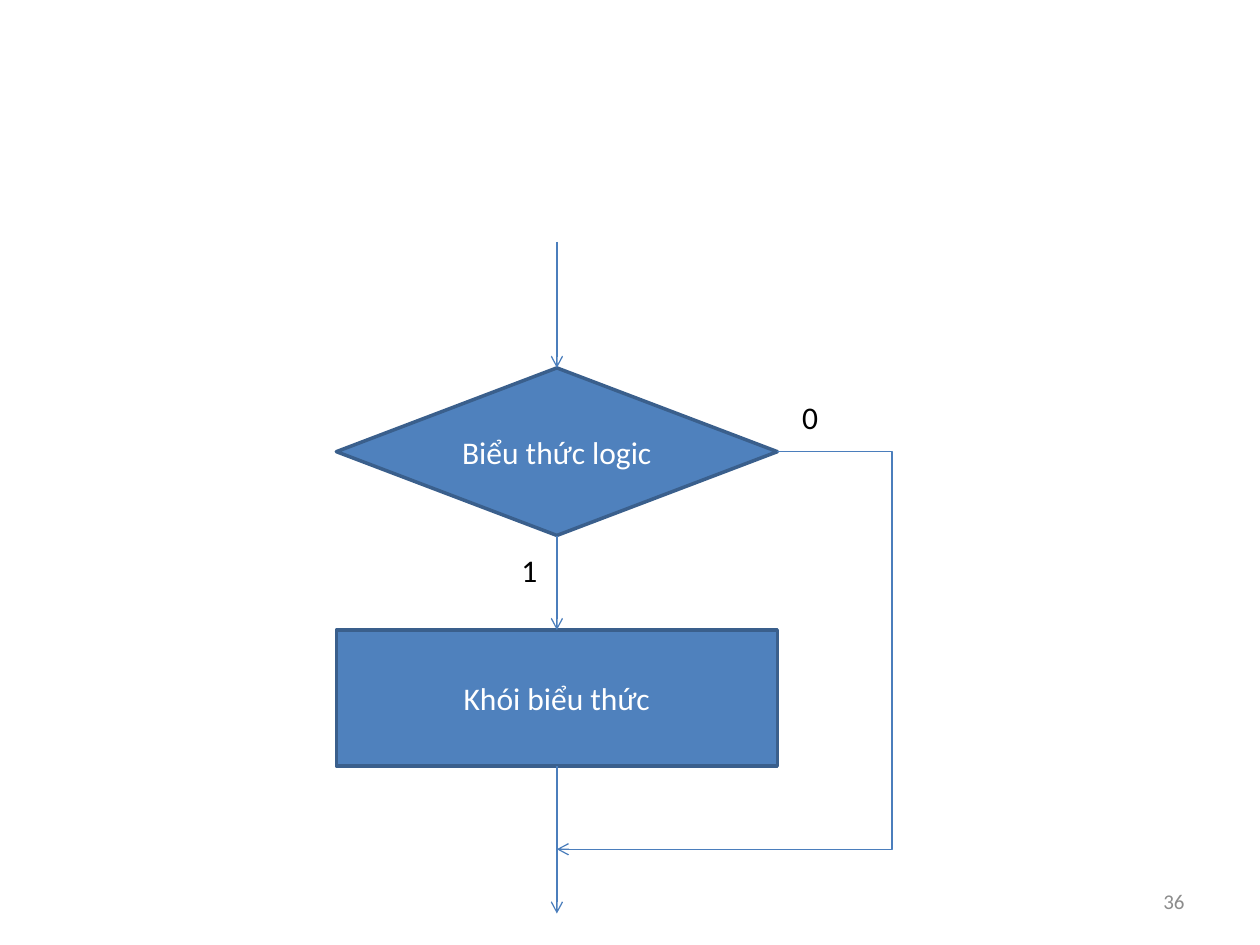
from lxml.etree import SubElement
from pptx import Presentation
from pptx.dml.color import RGBColor
from pptx.enum.shapes import MSO_CONNECTOR as Connector, MSO_SHAPE as Shape
from pptx.enum.text import MSO_ANCHOR as Anchor, PP_ALIGN as Align
from pptx.oxml.ns import qn
from pptx.util import Inches, Pt

THEME = {
    "font": "Calibri",
    "body_size": 18, "number_size": 12,
    "fill": "4F81BD", "outline": "3A5F8C", "arrow": "4B7EBC",
    "on_fill": "FFFFFF", "label": "000000", "number": "8C8C8C",
    "outline_width": 2, "arrow_width": 0.75,
}

# Flowchart steps: text, preset, top, height
STEP_LEFT, STEP_WIDTH = 2.67, 3.5
CONDITION = ("Biểu thức logic", Shape.DIAMOND, 2.92, 1.33)
BLOCK = ("Khói biểu thức", Shape.RECTANGLE, 5, 1.08)

# Branch labels: text, left, top
BRANCH_LABELS = [("1", 3.99, 4.25), ("0", 6.22, 3.04)]
LABEL_SIZE = (0.42, 0.54)

SLIDE_NUMBER = ("36", 7.17, 6.95, 2.33, 0.4)
FLOW_START, FLOW_END = 1.92, 7.25
BYPASS_RIGHT, BYPASS_JOIN = 7.08, 6.74


def color(role):
    return RGBColor.from_string(THEME[role])


def write(shape, text, role, size="body_size", align=Align.CENTER):
    frame = shape.text_frame
    frame.word_wrap = True
    frame.vertical_anchor = Anchor.MIDDLE
    paragraph = frame.paragraphs[0]
    paragraph.text = text
    paragraph.alignment = align
    paragraph.font.name = THEME["font"]
    paragraph.font.size = Pt(THEME[size])
    paragraph.font.color.rgb = color(role)


def add_label(slide, text, left, top, width, height, role, **style):
    box = slide.shapes.add_textbox(*map(Inches, (left, top, width, height)))
    write(box, text, role, **style)


def add_step(slide, text, preset, top, height):
    step = slide.shapes.add_shape(
        preset, *map(Inches, (STEP_LEFT, top, STEP_WIDTH, height)))
    step.shadow.inherit = False
    step.fill.solid()
    step.fill.fore_color.rgb = color("fill")
    step.line.color.rgb = color("outline")
    step.line.width = Pt(THEME["outline_width"])
    write(step, text, "on_fill")


def add_arrow(slide, start, end, kind=Connector.STRAIGHT):
    arrow = slide.shapes.add_connector(kind, *map(Inches, start + end))
    arrow.line.color.rgb = color("arrow")
    arrow.line.width = Pt(THEME["arrow_width"])
    properties = arrow._element.spPr
    SubElement(properties.find(qn("a:ln")), qn("a:tailEnd"), type="arrow")
    SubElement(properties, qn("a:effectLst"))
    return arrow


def add_bypass(slide, start, end, turn_x):
    """Elbow arrow whose vertical part runs at turn_x."""
    arrow = add_arrow(slide, start, end, Connector.ELBOW)
    bend = round((turn_x - start[0]) / (end[0] - start[0]) * 100000)
    geometry = arrow._element.spPr.find(qn("a:prstGeom"))
    guides = geometry.find(qn("a:avLst"))
    SubElement(guides, qn("a:gd"), name="adj1", fmla=f"val {bend}")


def main():
    deck = Presentation()
    deck.slide_width, deck.slide_height = Inches(10), Inches(7.5)
    slide = deck.slides.add_slide(deck.slide_layouts[6])

    for step in (CONDITION, BLOCK):
        add_step(slide, *step)

    center = STEP_LEFT + STEP_WIDTH / 2
    condition_top, condition_height = CONDITION[2:]
    block_top, block_height = BLOCK[2:]
    for top, bottom in [
        (FLOW_START, condition_top),
        (condition_top + condition_height, block_top),
        (block_top + block_height, FLOW_END),
    ]:
        add_arrow(slide, (center, top), (center, bottom))

    add_bypass(
        slide,
        (STEP_LEFT + STEP_WIDTH, condition_top + condition_height / 2),
        (center, BYPASS_JOIN),
        BYPASS_RIGHT,
    )

    for label in BRANCH_LABELS:
        add_label(slide, *label, *LABEL_SIZE, "label")
    add_label(slide, *SLIDE_NUMBER, "number",
              size="number_size", align=Align.RIGHT)

    deck.save("out.pptx")


if __name__ == "__main__":
    main()
